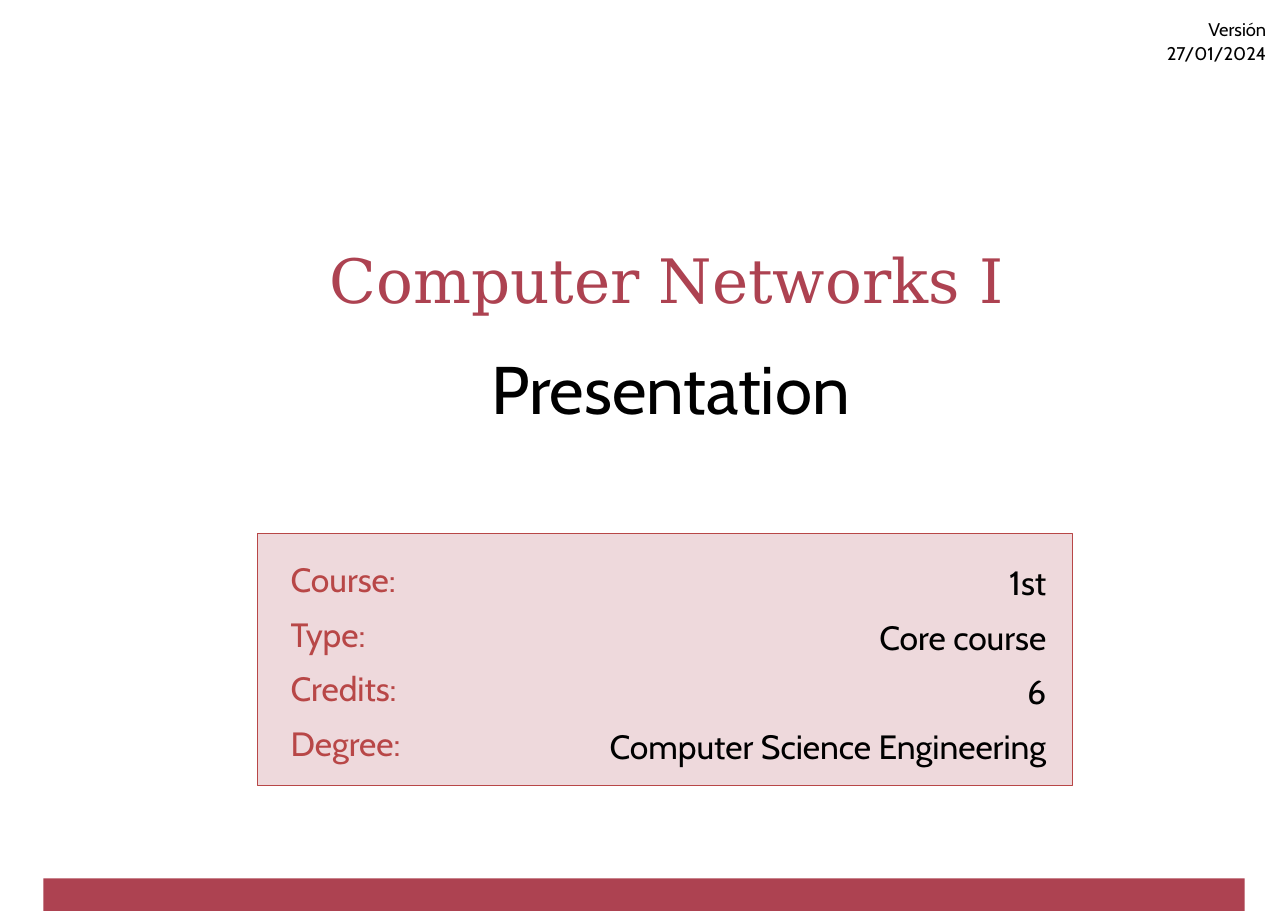
from lxml import etree
from pptx import Presentation
from pptx.dml.color import RGBColor
from pptx.enum.shapes import MSO_SHAPE
from pptx.enum.text import MSO_ANCHOR, PP_ALIGN
from pptx.oxml.ns import qn
from pptx.util import Cm, Pt

RECT = MSO_SHAPE.RECTANGLE
LEFT, CENTER, RIGHT = PP_ALIGN.LEFT, PP_ALIGN.CENTER, PP_ALIGN.RIGHT
TOP, MIDDLE = MSO_ANCHOR.TOP, MSO_ANCHOR.MIDDLE
NO_STYLE = "{2D5ABB26-0587-4C30-8999-92F81FD0307C}"
COLORS = {"crimson": "AD4251", "label": "B84747", "black": "000000"}


def rgb(name):
    return RGBColor.from_string(COLORS[name])


def write(tf, text, size=22, color="black", font="Cabin", align=LEFT,
          spacing=1.0, before=0):
    p = tf.paragraphs[0]
    p.alignment = align
    p.line_spacing = spacing
    p.space_before = Pt(before)
    r = p.add_run()
    r.text = text
    r.font.size = Pt(size)
    r.font.name = font
    r.font.color.rgb = rgb(color)


prs = Presentation()
prs.slide_width, prs.slide_height = Cm(29.7), Cm(21)
slide = prs.slides.add_slide(prs.slide_layouts[6])
shapes = slide.shapes

# Footer bar
bar = shapes.add_shape(RECT, Cm(1), Cm(20.25), Cm(27.7), Cm(0.75))
bar.shadow.inherit = False
bar.fill.solid()
bar.fill.fore_color.rgb = rgb("crimson")
bar.line.fill.background()

# Headings and version: box, margins, anchor, text, format
texts = [
    ((2.84, 7.06, 25.25, 3.76), (0.25, 0.13), MIDDLE, "Presentation",
     dict(size=44, align=CENTER)),
    ((26.2, 0.38, 3, 1.1), (0, 0), TOP, "Versión 27/01/2024",
     dict(size=12, align=RIGHT, spacing=1.08)),
    ((3.07, 5.46, 24.6, 1.96), (0.25, 0.13), TOP, "Computer Networks I",
     dict(size=40, color="crimson", font="DejaVu Serif", align=CENTER, before=5)),
]
for box, (side, edge), anchor, text, fmt in texts:
    tf = shapes.add_textbox(*map(Cm, box)).text_frame
    tf.word_wrap = True
    tf.vertical_anchor = anchor
    tf.margin_left = tf.margin_right = Cm(side)
    tf.margin_top = tf.margin_bottom = Cm(edge)
    write(tf, text, **fmt)

# Translucent panel behind the course facts
panel = shapes.add_shape(RECT, Cm(5.94), Cm(12.3), Cm(18.8), Cm(5.8))
panel.shadow.inherit = False
panel.fill.solid()
panel.fill.fore_color.rgb = rgb("crimson")
tint = panel.fill._xPr.find(qn("a:solidFill"))[0]
etree.SubElement(tint, qn("a:alpha")).set("val", "20000")
panel.line.color.rgb = rgb("label")
panel.line.width = Pt(0)

# Course facts
facts = [
    ("Course:", "1st"),
    ("Type:", "Core course"),
    ("Credits:", "6"),
    ("Degree:", "Computer Science Engineering"),
]
table = shapes.add_table(len(facts), 2, Cm(6.45), Cm(12.78),
                         Cm(17.93), Cm(5.04)).table
table.first_row = table.horz_banding = False
table._tbl.tblPr.find(qn("a:tableStyleId")).text = NO_STYLE
for col, width in zip(table.columns, (4.27, 13.66)):
    col.width = Cm(width)
for i, (label, value) in enumerate(facts):
    table.rows[i].height = Cm(1.26)
    for cell in table.rows[i].cells:
        cell.fill.background()
    write(table.cell(i, 0).text_frame, label, color="label")
    write(table.cell(i, 1).text_frame, value, align=RIGHT, spacing=1.08)

prs.save("out.pptx")
